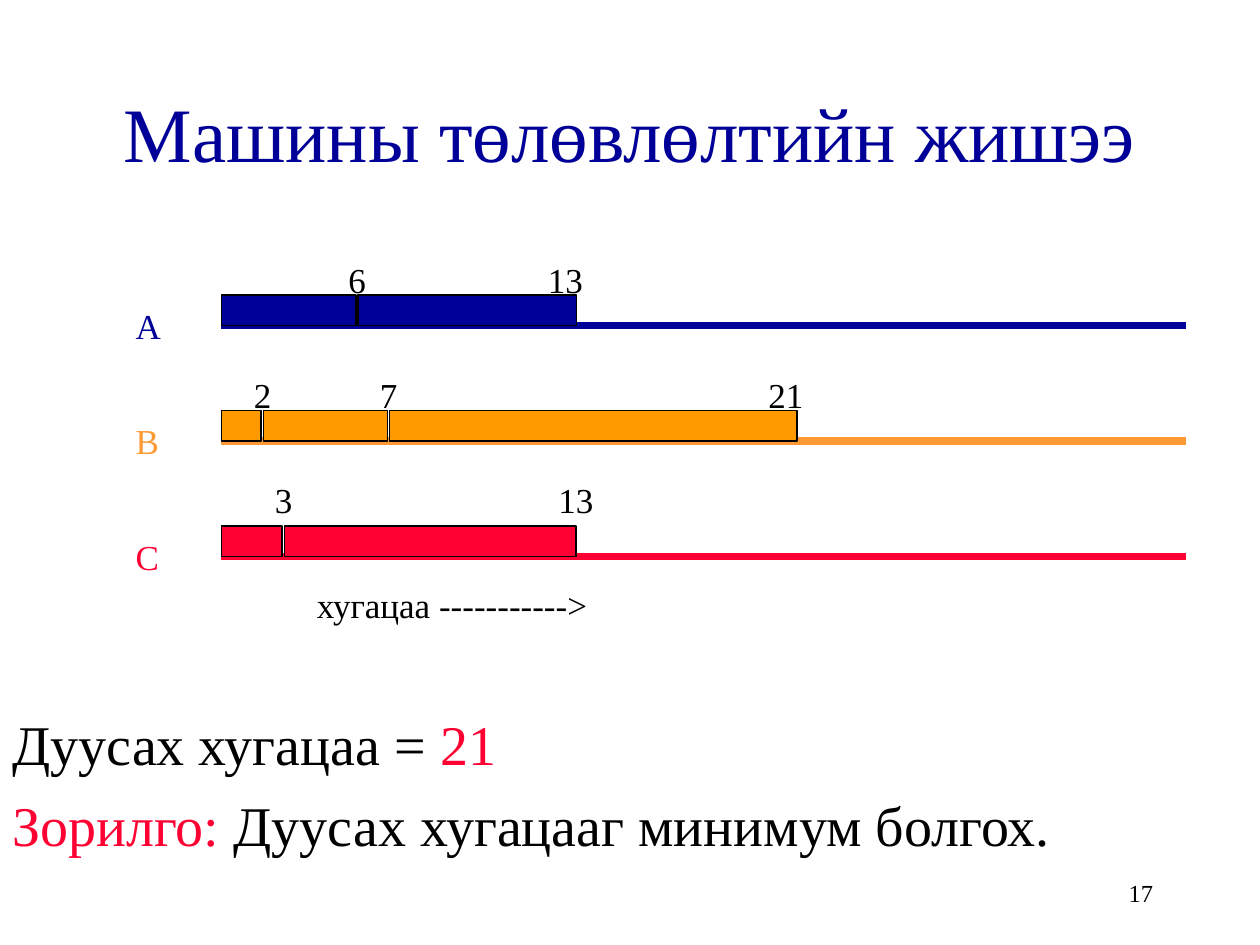
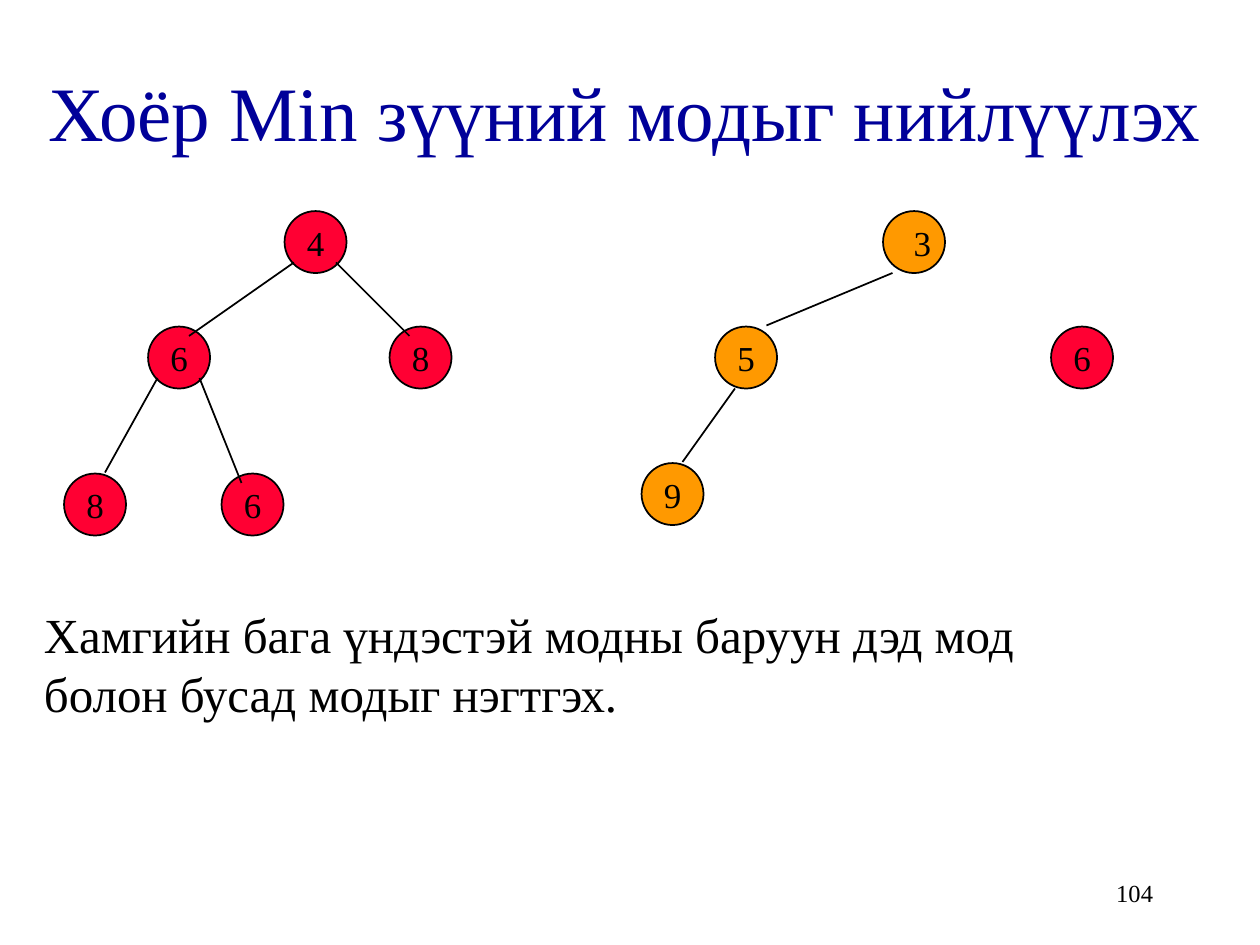
from lxml.etree import SubElement
from pptx import Presentation
from pptx.dml.color import RGBColor
from pptx.enum.shapes import MSO_CONNECTOR as Connector, MSO_SHAPE as Shape
from pptx.enum.text import MSO_ANCHOR as Anchor, PP_ALIGN as Align
from pptx.oxml.ns import qn
from pptx.util import Inches, Pt

NAVY = RGBColor(0x00, 0x00, 0x99)
RED = RGBColor(0xFF, 0x00, 0x33)
ORANGE = RGBColor(0xFF, 0x99, 0x00)
LIGHT_ORANGE = RGBColor(0xFF, 0x99, 0x33)
BLACK = RGBColor(0x00, 0x00, 0x00)

COLUMNS, ROWS = 120, 90
TIMELINE_START, TIMELINE_END = 21, 113
BAR_HEIGHT, BAR_GAP = 2.9, 0.1
NODE_SIZE, NODE_OFFSET = 5.9, 0.1

MACHINES = [
    ("A", 31, NAVY, NAVY, [34, 55], 24, [(32, "6"), (51, "13")]),
    ("B", 42, LIGHT_ORANGE, ORANGE, [25, 37, 76], 35,
     [(23, "2"), (35, "7"), (72, "21")]),
    ("C", 53, RED, RED, [27, 55], 45, [(25, "3"), (52, "13")]),
]
NODES = [
    ("4", 27, 20, RED, 0), ("3", 84, 20, ORANGE, 1.6),
    ("6", 14, 31, RED, 0), ("8", 37, 31, RED, 0),
    ("5", 68, 31, ORANGE, 0), ("6", 100, 31, RED, 0),
    ("8", 6, 45, RED, 0), ("6", 21, 45, RED, 0), ("9", 61, 44, ORANGE, 0),
]
BRANCHES = [
    (28, 25, 18, 32), (32, 25, 39, 32), (85, 26, 73, 31),
    (15, 36, 10, 45), (19, 36, 23, 46), (70, 37, 65, 44),
]


def apply_format(target, values):
    for attribute, value in values.items():
        setattr(target, attribute, value)


class Deck:
    font = "Times New Roman"

    def __init__(self):
        self.show = Presentation()
        apply_format(self.show, {"slide_width": Inches(10),
                                 "slide_height": Inches(7.5)})
        self.slide = None

    def x(self, column):
        return round(self.show.slide_width * column / COLUMNS)

    def y(self, row):
        return round(self.show.slide_height * row / ROWS)

    def area(self, column, row, width, height):
        return self.x(column), self.y(row), self.x(width), self.y(height)

    def new_slide(self, title, title_area, number):
        self.slide = self.show.slides.add_slide(self.show.slide_layouts[6])
        self.text(title_area, [[(title, NAVY)]], 44, Align.CENTER, Anchor.MIDDLE)
        self.text((86, 82, 25, 6), [[(number, BLACK)]], 14, Align.RIGHT,
                  Anchor.MIDDLE)

    def fill_text(self, frame, paragraphs, size, align, space=0):
        for index, runs in enumerate(paragraphs):
            paragraph = frame.add_paragraph() if index else frame.paragraphs[0]
            paragraph.alignment = align
            if index:
                paragraph.space_before = Pt(space)
            for words, color in runs:
                run = paragraph.add_run()
                run.text = words
                apply_format(run.font, {"name": self.font, "size": Pt(size)})
                run.font.color.rgb = color

    def text(self, area, paragraphs, size=20, align=Align.LEFT,
             anchor=Anchor.TOP, space=0):
        frame = self.slide.shapes.add_textbox(*self.area(*area)).text_frame
        apply_format(frame, {"word_wrap": True, "vertical_anchor": anchor})
        self.fill_text(frame, paragraphs, size, align, space)

    def solid(self, kind, area, color):
        solid = self.slide.shapes.add_shape(kind, *self.area(*area))
        solid.shadow.inherit = False
        solid.fill.solid()
        solid.fill.fore_color.rgb = color
        solid.line.color.rgb = BLACK
        solid.line.width = Pt(1)
        return solid

    def bar(self, start, end, baseline, color):
        self.solid(Shape.RECTANGLE,
                   (start + BAR_GAP, baseline - BAR_HEIGHT,
                    end - start - 2 * BAR_GAP, BAR_HEIGHT), color)

    def node(self, key, column, row, color, indent):
        circle = self.solid(Shape.OVAL,
                            (column + NODE_OFFSET, row + NODE_OFFSET,
                             NODE_SIZE, NODE_SIZE), color)
        apply_format(circle.text_frame, {
            "margin_left": self.x(indent), "margin_right": 0,
            "margin_top": 0, "margin_bottom": 0,
            "vertical_anchor": Anchor.MIDDLE, "word_wrap": False})
        self.fill_text(circle.text_frame, [[(key, BLACK)]], 20, Align.CENTER)

    def line(self, x1, y1, x2, y2, color=BLACK, width=1):
        line = self.slide.shapes.add_connector(
            Connector.STRAIGHT, self.x(x1), self.y(y1), self.x(x2), self.y(y2))
        line.line.color.rgb = color
        line.line.width = Pt(width)
        SubElement(line._element.spPr, qn("a:effectLst"))


def build_schedule(deck):
    deck.new_slide("Машины төлөвлөлтийн жишээ", (9, 5, 102, 15), "17")
    for name, baseline, line_color, bar_color, ends, label_row, times in MACHINES:
        deck.line(TIMELINE_START, baseline, TIMELINE_END, baseline,
                  line_color, 4.5)
        deck.text((11.75, baseline - 2.6, 5, 5.2), [[(name, line_color)]])
        for start, end in zip([TIMELINE_START] + ends, ends):
            deck.bar(start, end, baseline, bar_color)
        for column, time in times:
            deck.text((column, label_row, 8, 5.2), [[(time, BLACK)]])
    deck.text((29, 55, 41, 5.2), [[("хугацаа ----------->", BLACK)]])
    deck.text((0, 67, 120, 14), [
        [("Дуусах хугацаа = ", BLACK), ("21", RED)],
        [("Зорилго: ", RED), ("Дуусах хугацааг минимум болгох.", BLACK)],
    ], 32, space=8)


def build_trees(deck):
    deck.new_slide("Хоёр Min зүүний модыг нийлүүлэх", (1, 3, 117, 15), "104")
    for node in NODES:
        deck.node(*node)
    for branch in BRANCHES:
        deck.line(*branch)
    deck.text((3, 57, 105, 12.5), [[(
        "Хамгийн бага үндэстэй модны баруун дэд мод "
        "болон бусад модыг нэгтгэх.", BLACK)]], 28)


def main():
    deck = Deck()
    build_schedule(deck)
    build_trees(deck)
    deck.show.save("out.pptx")


if __name__ == "__main__":
    main()
